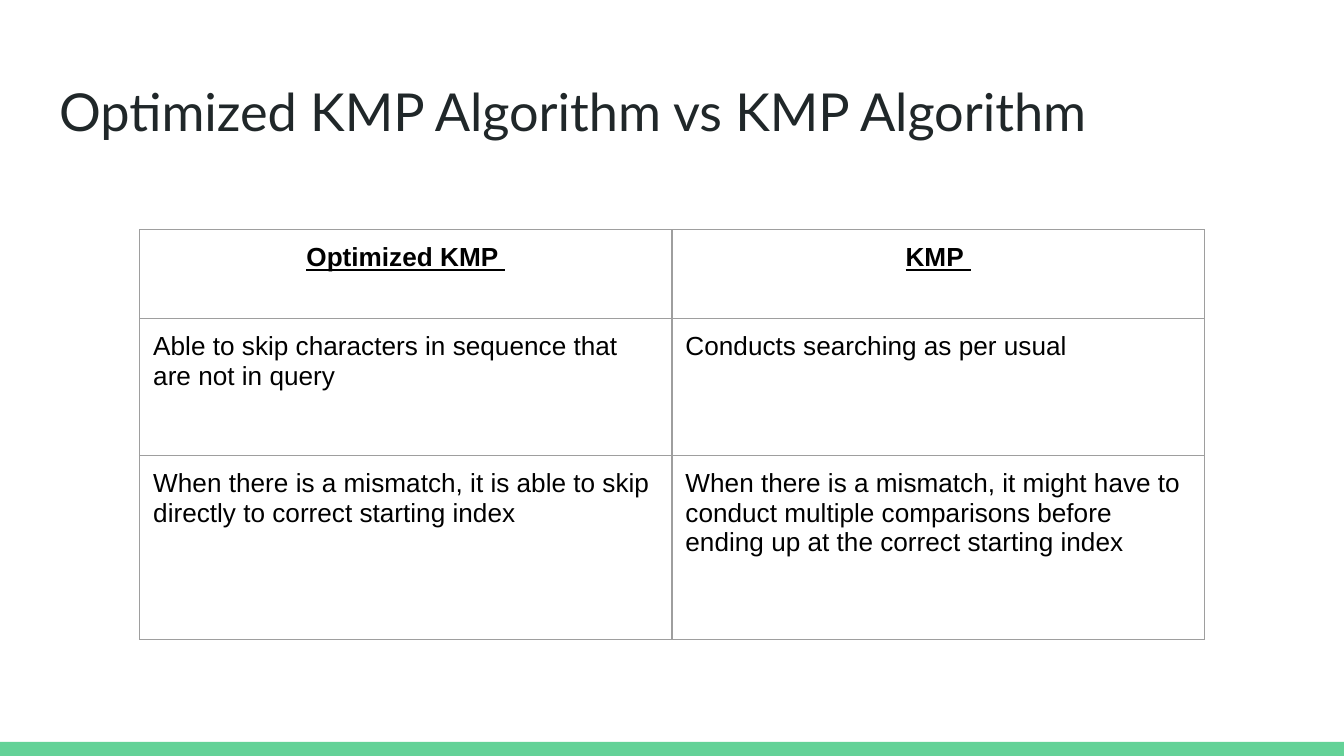
from lxml.etree import SubElement
from pptx import Presentation
from pptx.dml.color import RGBColor
from pptx.enum.shapes import MSO_SHAPE
from pptx.enum.text import MSO_ANCHOR, MSO_AUTO_SIZE, PP_ALIGN
from pptx.oxml.ns import qn
from pptx.util import Inches, Pt

GREEN = RGBColor(0x63, 0xD2, 0x97)
DARK = RGBColor(0x20, 0x27, 0x29)
BLACK = RGBColor(0, 0, 0)
GRAY = RGBColor(0x9E, 0x9E, 0x9E)

ROWS = [
    ("Optimized KMP ", "KMP "),
    ("Able to skip characters in sequence that are not in query",
     "Conducts searching as per usual"),
    ("When there is a mismatch, it is able to skip directly to correct starting index",
     "When there is a mismatch, it might have to conduct multiple comparisons "
     "before ending up at the correct starting index"),
]
HEIGHTS = (0.66, 1.02, 1.37)
WIDTH = 3.96


def set_font(para, name, size, color):
    """Format the runs of a paragraph."""
    for run in para.runs:
        run.font.name = name
        run.font.size = Pt(size)
        run.font.color.rgb = color


def set_insets(item):
    """Give a text frame or cell equal margins."""
    item.margin_left = item.margin_right = Inches(0.1)
    item.margin_top = item.margin_bottom = Inches(0.1)


def add_bar(slide):
    """Draw the green bar along the bottom edge."""
    bar = slide.shapes.add_shape(
        MSO_SHAPE.RECTANGLE, 0, Inches(5.52), Inches(10), Inches(0.11))
    bar.shadow.inherit = False
    bar.fill.solid()
    bar.fill.fore_color.rgb = GREEN
    bar.line.fill.background()


def set_title(slide, text):
    """Place and format the title."""
    title = slide.shapes.title
    title.left, title.top = Inches(0.34), Inches(0.49)
    title.width, title.height = Inches(9.32), Inches(0.63)
    frame = title.text_frame
    frame.text = text
    frame.word_wrap = True
    frame.auto_size = MSO_AUTO_SIZE.NONE
    frame.vertical_anchor = MSO_ANCHOR.TOP
    set_insets(frame)
    para = frame.paragraphs[0]
    para.alignment = PP_ALIGN.LEFT
    set_font(para, "Lato", 28, DARK)


def add_border(cell):
    """Line all four sides of a cell."""
    props = cell._tc.get_or_add_tcPr()
    for side in ("lnL", "lnR", "lnT", "lnB"):
        line = SubElement(props, qn(f"a:{side}"), w=str(Pt(0.75)))
        fill = SubElement(line, qn("a:solidFill"))
        SubElement(fill, qn("a:srgbClr"), val=str(GRAY))


def fill_cell(cell, text, head):
    """Write and style one table cell."""
    add_border(cell)
    cell.fill.background()
    set_insets(cell)
    cell.vertical_anchor = MSO_ANCHOR.TOP
    cell.text_frame.text = text
    para = cell.text_frame.paragraphs[0]
    para.alignment = PP_ALIGN.CENTER if head else PP_ALIGN.LEFT
    set_font(para, "Arial", 14, BLACK)
    for run in para.runs:
        run.font.bold = run.font.underline = head


def add_grid(slide):
    """Add the table that compares both methods."""
    frame = slide.shapes.add_table(
        len(ROWS), 2, Inches(1.04), Inches(1.71),
        Inches(2 * WIDTH), Inches(sum(HEIGHTS)))
    table = frame.table
    table.first_row = table.horz_banding = False
    for col in table.columns:
        col.width = Inches(WIDTH)
    for i, (texts, height) in enumerate(zip(ROWS, HEIGHTS)):
        table.rows[i].height = Inches(height)
        for j, text in enumerate(texts):
            fill_cell(table.cell(i, j), text, i == 0)


def main():
    """Build and save the slide."""
    deck = Presentation()
    deck.slide_width = Inches(10)
    deck.slide_height = Inches(10 * 9 / 16)
    slide = deck.slides.add_slide(deck.slide_layouts[5])
    add_bar(slide)
    set_title(slide, "Optimized KMP Algorithm vs KMP Algorithm")
    add_grid(slide)
    deck.save("out.pptx")


if __name__ == "__main__":
    main()
